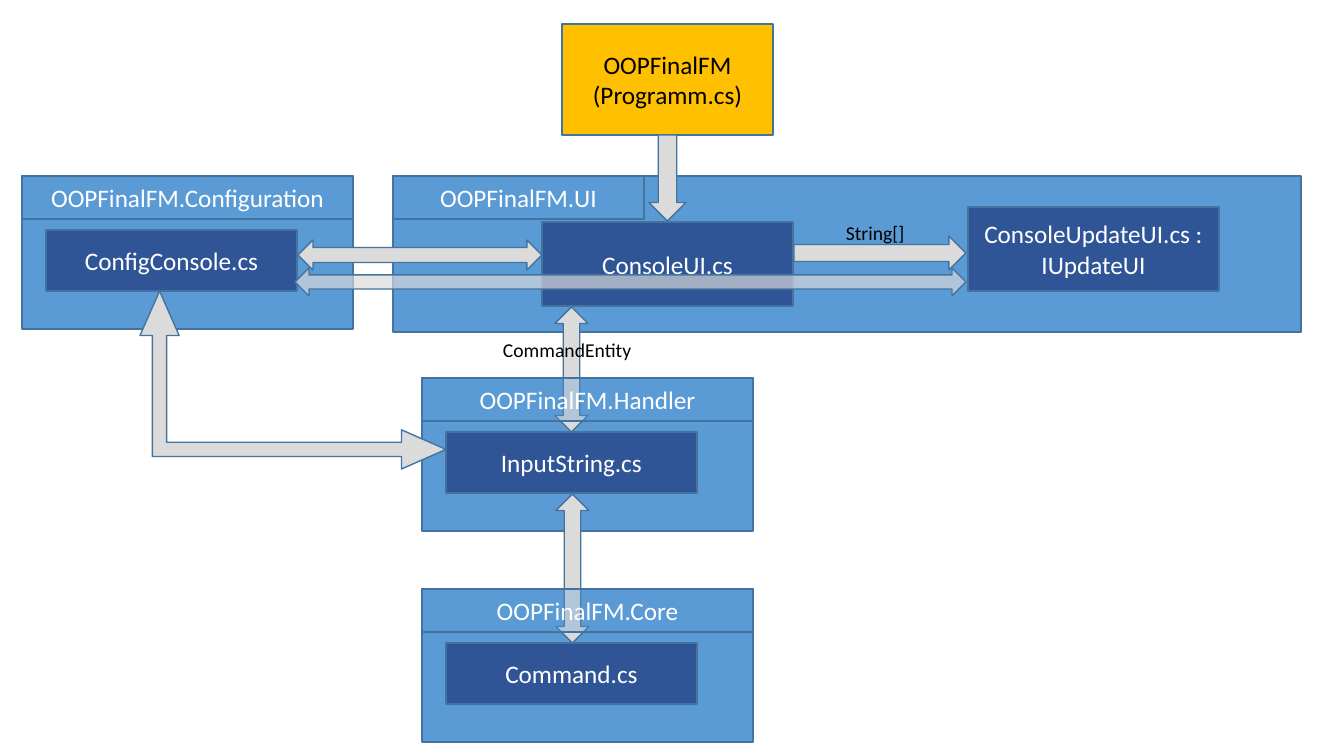
import lxml.etree
import pptx
import pptx.util
import pptx.dml.color
import pptx.enum.shapes
import pptx.enum.text
import pptx.oxml.ns

SCALE = 914400 / 100.8
KIND = pptx.enum.shapes.MSO_SHAPE
ALIGN = pptx.enum.text.PP_ALIGN
BLUE, NAVY, GOLD, GREY, EDGE = "5B9BD5", "2F5597", "FFC000", "DBDBDB", "43739E"
WHITE, BLACK = "FFFFFF", "000000"
PANEL = (331, 153)
BAND = 43
FILE = (251, 61)
TALL = (251, 84)


def px(n):
    """Turn pixels into EMU."""
    return pptx.util.Emu(round(n * SCALE))


def paint(fill, color):
    """Give a solid fill."""
    fill.solid()
    fill.fore_color.rgb = pptx.dml.color.RGBColor.from_string(color)


def fade(shape, alpha):
    """Set the opacity of a shape's fill in percent."""
    name = pptx.oxml.ns.qn
    tone = shape._element.spPr.find(name("a:solidFill")).find(name("a:srgbClr"))
    lxml.etree.SubElement(tone, name("a:alpha"), val=str(alpha * 1000))


def write(frame, text, size=18, color=WHITE, align=ALIGN.CENTER, wrap=True):
    """Write text, one paragraph a line, with its format."""
    frame.word_wrap = wrap
    frame.text = text
    for para in frame.paragraphs:
        para.alignment = align
        for run in para.runs:
            run.font.name = "Calibri"
            run.font.size = pptx.util.Pt(size)
            paint(run.font.fill, color)


def block(slide, box, fill, text="", kind=KIND.RECTANGLE, alpha=100, color=WHITE):
    """Add an outlined shape with centred text."""
    shape = slide.shapes.add_shape(kind, *map(px, box))
    shape.shadow.inherit = False
    paint(shape.fill, fill)
    if alpha < 100:
        fade(shape, alpha)
    paint(shape.line.fill, EDGE)
    shape.line.width = pptx.util.Pt(1)
    if text:
        shape.text_frame.vertical_anchor = pptx.enum.text.MSO_ANCHOR.MIDDLE
        write(shape.text_frame, text, color=color)
    return shape


def file(slide, box, text):
    """Add the dark box of a source file."""
    block(slide, box, NAVY, text, KIND.FLOWCHART_PROCESS)


def arrow(slide, box, kind, alpha=100):
    """Add a grey block arrow."""
    return block(slide, box, GREY, kind=kind, alpha=alpha)


def label(slide, box, text):
    """Add a small caption beside an arrow."""
    frame = slide.shapes.add_textbox(*map(px, box)).text_frame
    write(frame, text, size=14, color=BLACK, align=ALIGN.LEFT, wrap=False)
    frame.auto_size = pptx.enum.text.MSO_AUTO_SIZE.SHAPE_TO_FIT_TEXT


def panel(slide, box, title, name, link=None, alpha=100):
    """Add a module: body, file, arrow from above, title band."""
    left, top, width, _ = box
    block(slide, box, BLUE)
    file(slide, (left + 24, top + 54, *FILE), name)
    if link:
        x, y, wide = link
        arrow(slide, (x, y, wide, top + 54 - y), KIND.UP_DOWN_ARROW)
    block(slide, (left, top, width, BAND), BLUE, title,
          KIND.FLOWCHART_PROCESS, alpha)


def screen(slide, box):
    """Add the UI module with the start program above it."""
    left, top, _, _ = box
    block(slide, box, BLUE)
    block(slide, (left + 169, top - 152, 211, 111), GOLD,
          "OOPFinalFM\n(Programm.cs)", color=BLACK)
    block(slide, (left, top, 251, BAND), BLUE, "OOPFinalFM.UI",
          KIND.FLOWCHART_PROCESS)
    arrow(slide, (left + 256, top - 41, 37, 86), KIND.DOWN_ARROW)
    file(slide, (left + 149, top + 46, *TALL), "ConsoleUI.cs")
    file(slide, (left + 575, top + 31, *TALL), "ConsoleUpdateUI.cs : IUpdateUI")
    arrow(slide, (left + 401, top + 60, 172, 34), KIND.RIGHT_ARROW)


def links(slide, box):
    """Add captions and the arrows that start at the configuration."""
    left, top, _, _ = box
    label(slide, (left + 814, top + 40, 80, 34), "String[]")
    label(slide, (left + 471, top + 157, 150, 34), "CommandEntity")
    arrow(slide, (left + 276, top + 64, 244, 30), KIND.LEFT_RIGHT_ARROW)
    arrow(slide, (left + 273, top + 92, 671, 28), KIND.LEFT_RIGHT_ARROW, 67)
    elbow = arrow(slide, (left + 118, top + 115, 306, 178), KIND.LEFT_UP_ARROW)
    for i, value in enumerate((0.08, 0.11, 0.25)):
        elbow.adjustments[i] = value
    elbow._element.spPr.find(pptx.oxml.ns.qn("a:xfrm")).set("flipH", "1")


def main():
    """Build the slide and save it."""
    deck = pptx.Presentation()
    deck.slide_width, deck.slide_height = px(1344), px(756)
    slide = deck.slides.add_slide(deck.slide_layouts[6])
    config = (22, 176, *PANEL)
    panel(slide, config, "OOPFinalFM.Configuration", "ConfigConsole.cs")
    screen(slide, (393, 176, 908, 156))
    panel(slide, (422, 378, *PANEL), "OOPFinalFM.Handler", "InputString.cs",
          (555, 307, 33), 32)
    panel(slide, (422, 589, *PANEL), "OOPFinalFM.Core", "Command.cs",
          (556, 494, 33), 32)
    links(slide, config)
    deck.save("out.pptx")


main()
